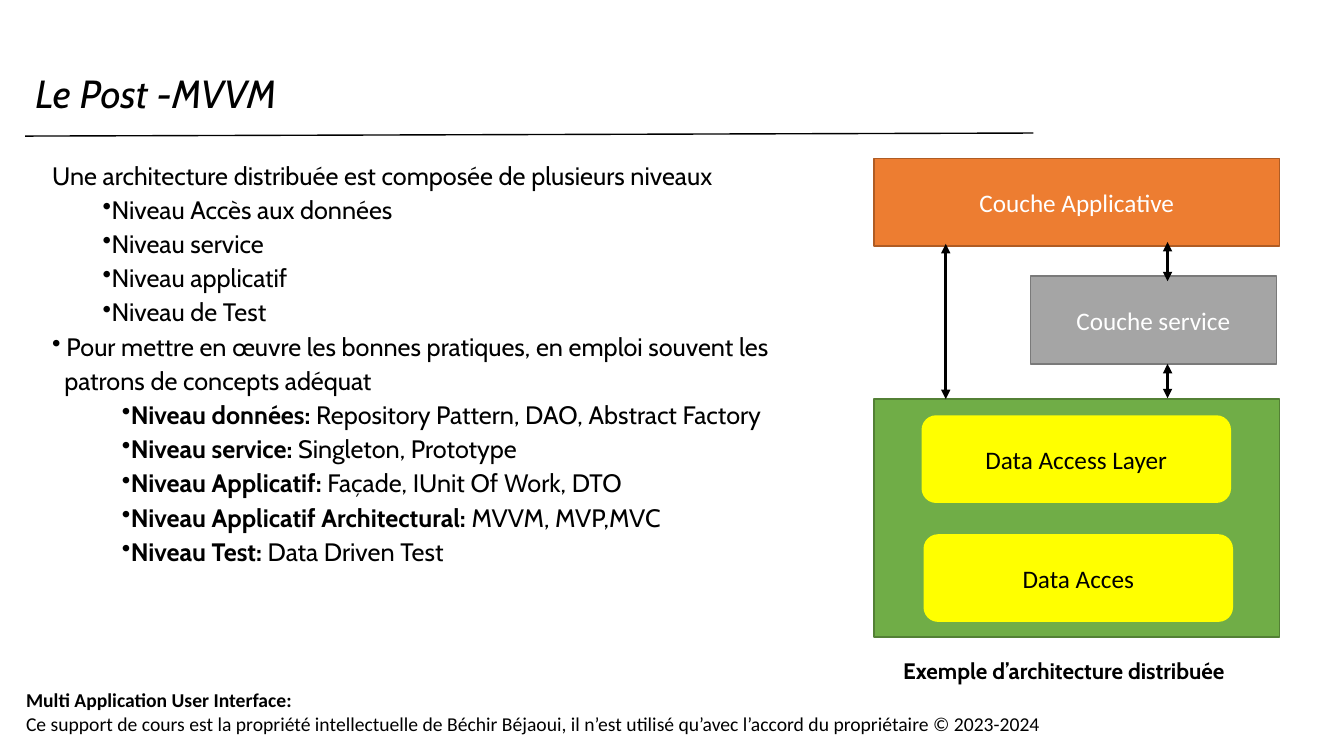
"""Build the slide on the distributed Post-MVVM architecture."""
from dataclasses import dataclass

from pptx import Presentation
from pptx.dml.color import RGBColor
from pptx.enum import shapes, text
from pptx.oxml import ns
from pptx.oxml import xmlchemy as xml
from pptx.util import Inches, Pt
from lxml import etree


@dataclass(frozen=True)
class Theme:
    """Fonts, type sizes and colours of the slide."""
    heading_font: str = "Cabin"
    label_font: str = "Calibri"
    title_size: int = 28
    body_size: int = 18
    caption_size: int = 16
    footer_size: int = 14
    black: str = "000000"
    white: str = "FFFFFF"
    orange: str = "ED7D31"
    orange_edge: str = "AF5C24"
    grey: str = "A5A5A5"
    grey_edge: str = "7A7A7A"
    green: str = "70AD47"
    green_edge: str = "538035"
    yellow: str = "FFFF00"


THEME = Theme()

LEVELS = ["Niveau Accès aux données", "Niveau service", "Niveau applicatif", "Niveau de Test"]
PATTERNS = [
    ("Niveau données: ", "Repository Pattern, DAO, Abstract Factory"),
    ("Niveau service: ", "Singleton, Prototype"),
    ("Niveau Applicatif: ", "Façade, IUnit Of Work, DTO"),
    ("Niveau Applicatif Architectural: ", "MVVM, MVP,MVC"),
    ("Niveau Test: ", "Data Driven Test"),
]


def place(frame):
    """Convert a left, top, width, height frame to lengths."""
    return [Inches(value) for value in frame]


def style_runs(paragraph, font, size, color=THEME.black, bold=False, italic=False):
    """Format every run of a paragraph."""
    for run in paragraph.runs:
        run.font.name = font
        run.font.size = Pt(size)
        run.font.color.rgb = RGBColor.from_string(color)
        run.font.bold = bold
        run.font.italic = italic


def add_title(slide, wording, frame):
    """Place and format the title placeholder."""
    title = slide.shapes.title
    title.left, title.top, title.width, title.height = place(frame)
    body = title.text_frame
    body.text = wording
    body.auto_size = text.MSO_AUTO_SIZE.NONE
    body.vertical_anchor = text.MSO_ANCHOR.TOP
    body.paragraphs[0].alignment = text.PP_ALIGN.LEFT
    style_runs(body.paragraphs[0], THEME.heading_font, THEME.title_size, italic=True)


def add_text(slide, lines, frame, font, size, wrap=True):
    """Add a text box whose first line is bold."""
    body = slide.shapes.add_textbox(*place(frame)).text_frame
    body.word_wrap = wrap
    body.text = "\n".join(lines)
    for index, paragraph in enumerate(body.paragraphs):
        style_runs(paragraph, font, size, bold=index == 0)


def add_body_line(body, wording, lead="", margin=0, indent=0, bullet=False, tab=None):
    """Append a body paragraph with an optional bold lead and bullet."""
    first = not body.paragraphs[0].runs
    paragraph = body.paragraphs[0] if first else body.add_paragraph()
    paragraph.text = lead or wording
    paragraph.line_spacing = 0.9
    if not first:
        paragraph.space_before = Pt(5)
    properties = paragraph._p.get_or_add_pPr()
    properties.set("marL", str(Inches(margin)))
    properties.set("indent", str(Inches(indent)))
    if bullet:
        etree.SubElement(properties, ns.qn("a:buChar"), char="•")
    if tab:
        tabs = etree.SubElement(properties, ns.qn("a:tabLst"))
        etree.SubElement(tabs, ns.qn("a:tab"), pos=str(Inches(tab)), algn="l")
    if lead:
        paragraph.add_run().text = wording
    style_runs(paragraph, THEME.heading_font, THEME.body_size)
    if lead:
        paragraph.runs[0].font.bold = True


def add_body(slide, frame):
    """Add the levels and the patterns used at each level."""
    body = slide.shapes.add_textbox(*place(frame)).text_frame
    body.word_wrap = True
    add_body_line(body, "Une architecture distribuée est composée de plusieurs niveaux")
    for level in LEVELS:
        add_body_line(body, level, margin=0.5, bullet=True)
    add_body_line(body, "Pour mettre en œuvre les bonnes pratiques, en emploi souvent les",
                  margin=0.14, indent=-0.14, bullet=True)
    add_body_line(body, "patrons de concepts adéquat", margin=0.12)
    for lead, patterns in PATTERNS:
        add_body_line(body, patterns, lead, margin=0.5, indent=0.19, bullet=True, tab=0.63)


def add_layer(slide, frame, fill, edge=None, label="", color=THEME.white, rounded=False):
    """Add one block of the architecture diagram."""
    kinds = shapes.MSO_SHAPE
    kind = kinds.ROUNDED_RECTANGLE if rounded else kinds.RECTANGLE
    layer = slide.shapes.add_shape(kind, *place(frame))
    layer.shadow.inherit = False
    layer.fill.solid()
    layer.fill.fore_color.rgb = RGBColor.from_string(fill)
    if edge:
        layer.line.color.rgb = RGBColor.from_string(edge)
        layer.line.width = Pt(1)
    else:
        layer.line.fill.background()
    if label:
        body = layer.text_frame
        body.text = label
        body.vertical_anchor = text.MSO_ANCHOR.MIDDLE
        body.paragraphs[0].alignment = text.PP_ALIGN.CENTER
        style_runs(body.paragraphs[0], THEME.label_font, THEME.body_size, color)


def add_line(slide, start, end, width, arrows=False):
    """Add a straight line, with arrowheads at both ends on request."""
    line = slide.shapes.add_connector(shapes.MSO_CONNECTOR.STRAIGHT, *place(start + end))
    line.line.color.rgb = RGBColor.from_string(THEME.black)
    line.line.width = Pt(width)
    if arrows:
        for tag in ("a:headEnd", "a:tailEnd"):
            etree.SubElement(line.line._get_or_add_ln(), ns.qn(tag), type="triangle")
    etree.SubElement(line._element.spPr, ns.qn("a:effectLst"))


def add_diagram(slide):
    """Add the layers and the arrows between them."""
    left, width, height = 8.67, 4.02, 0.87
    add_layer(slide, (left, 3.96, width, 2.36), THEME.green, THEME.green_edge)
    for label, x, y in (("Data Access Layer", 9.14, 4.12), ("Data Acces", 9.16, 5.3)):
        add_layer(slide, (x, y, 3.07, height), THEME.yellow, label=label,
                  color=THEME.black, rounded=True)
    add_layer(slide, (10.22, 2.74, 2.44, height), THEME.grey, THEME.grey_edge, "Couche service")
    add_layer(slide, (left, 1.57, width, height), THEME.orange, THEME.orange_edge,
              "Couche Applicative")
    for x, bottom, top in ((11.58, 3.95, 3.61), (11.58, 2.79, 2.4), (9.38, 3.96, 2.42)):
        add_line(slide, (x, bottom), (x, top), 2.25, arrows=True)


def main():
    """Assemble and save the slide."""
    deck = Presentation()
    deck.slide_width, deck.slide_height = Inches(13.33), Inches(7.5)
    slide = deck.slides.add_slide(deck.slide_layouts.get_by_name("Title Only"))
    add_title(slide, "Le Post -MVVM", (0.25, 0.64, 3.45, 0.57))
    add_line(slide, (0.25, 1.35), (10.25, 1.32), 1)
    add_body(slide, (0.42, 1.57, 7.44, 4.82))
    add_diagram(slide)
    add_text(slide, ["Exemple d’architecture distribuée"], (8.86, 6.47, 3.46, 0.37),
             THEME.heading_font, THEME.caption_size, wrap=False)
    add_text(slide, [
        "Multi Application User Interface:",
        "Ce support de cours est la propriété intellectuelle de Béchir Béjaoui, "
        "il n’est utilisé qu’avec l’accord du propriétaire © 2023-2024",
    ], (0.16, 6.78, 13.17, 0.57), THEME.label_font, THEME.footer_size)
    deck.save("out.pptx")


if __name__ == "__main__":
    main()
